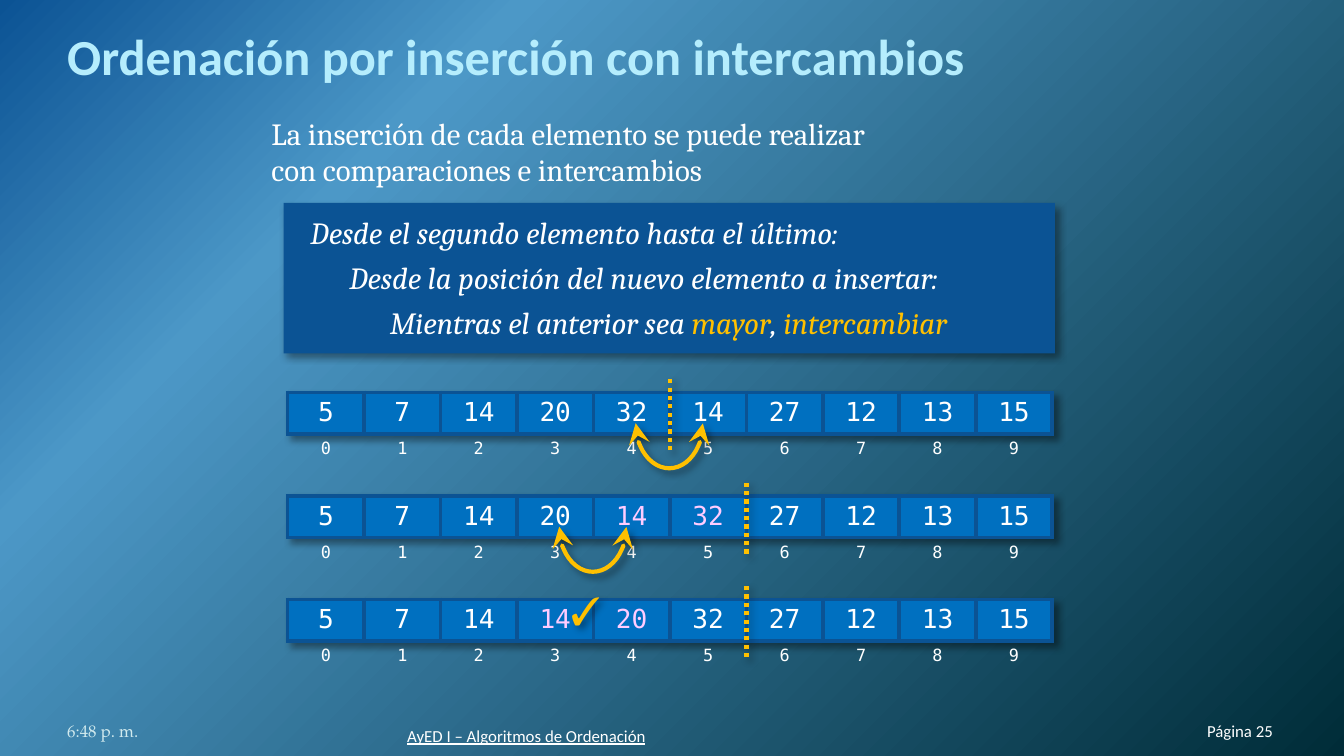
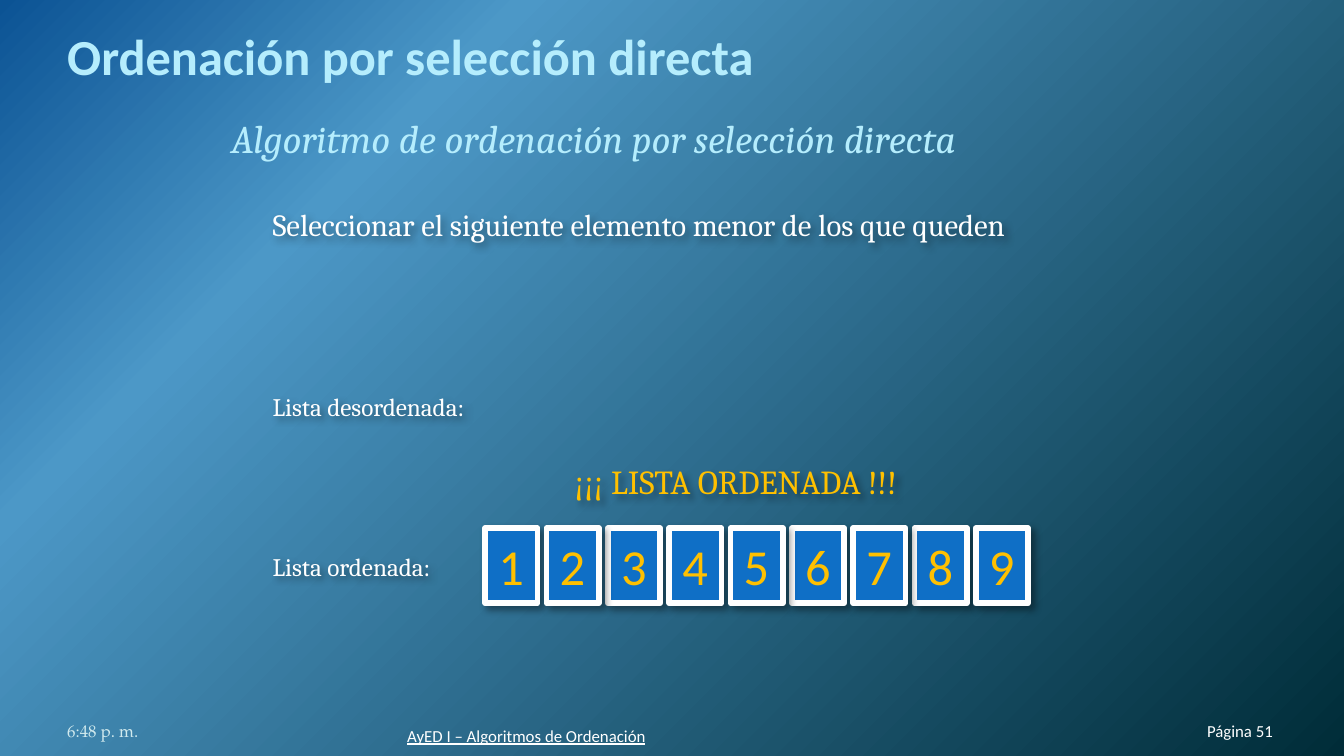
import lxml.etree
import pptx
import pptx.dml.color
import pptx.enum.dml
import pptx.enum.shapes
import pptx.enum.text
import pptx.oxml.ns
import pptx.util

Inches = pptx.util.Inches
Pt = pptx.util.Pt
RGBColor = pptx.dml.color.RGBColor
qn = pptx.oxml.ns.qn
Anchor = pptx.enum.text.MSO_ANCHOR
Align = pptx.enum.text.PP_ALIGN
AutoSize = pptx.enum.text.MSO_AUTO_SIZE
Shape = pptx.enum.shapes.MSO_SHAPE

NAVY = RGBColor(0x0B, 0x53, 0x94)
SKY = RGBColor(0x4C, 0x98, 0xC7)
DEEP = RGBColor(0x00, 0x2C, 0x38)
BLUE = RGBColor(0x00, 0x70, 0xC0)
CARD_BLUE = RGBColor(0x0F, 0x6F, 0xC6)
ICE = RGBColor(0xB5, 0xED, 0xFD)
MIST = RGBColor(0xD1, 0xEA, 0xEE)
PINK = RGBColor(0xFF, 0xCC, 0xFF)
GOLD = RGBColor(0xFF, 0xC0, 0x00)
WHITE = RGBColor(0xFF, 0xFF, 0xFF)
BLACK = RGBColor(0x00, 0x00, 0x00)

TITLE = {"name": "Calibri", "size": Pt(27), "bold": True}
BODY = {"name": "Cambria", "size": Pt(16.5)}
ITALIC = {**BODY, "italic": True}
SUBTITLE = {**ITALIC, "size": Pt(21)}
LABEL = {"name": "Cambria", "size": Pt(13.5)}
CHECK = {"name": "Cambria", "size": Pt(21), "bold": True}
CARD = {"name": "Calibri", "size": Pt(27)}
FOOTER = {"name": "Calibri", "size": Pt(9)}
VALUE = {"name": "DejaVu Sans Mono", "size": Pt(14)}
INDEX = {**VALUE, "size": Pt(9)}
NO_STYLE = "{2D5ABB26-0587-4C30-8999-92F81FD0307C}"


def write(paragraph, text, color, formats):
    run = paragraph.add_run()
    run.text = text
    run.font.color.rgb = color
    for name, value in formats.items():
        setattr(run.font, name, value)
    return run


def add_shadow(properties, position):
    effects = lxml.etree.Element(qn("a:effectLst"))
    shadow = lxml.etree.SubElement(effects, qn("a:outerShdw"), blurRad=str(Pt(4)), dist=str(Pt(3)),
                                   dir="2700000", algn="tl", rotWithShape="0")
    color = lxml.etree.SubElement(shadow, qn("a:srgbClr"), val=str(BLACK))
    lxml.etree.SubElement(color, qn("a:alpha"), val="40000")
    properties.insert(position, effects)


presentation = pptx.Presentation()
presentation.slide_width = Inches(10)
presentation.slide_height = Inches(10 * 9 / 16)

master = presentation.slide_master
master.background.fill.gradient()
gradient = master.element.find(".//" + qn("a:gradFill"))
for child in list(gradient):
    gradient.remove(child)
stops = lxml.etree.SubElement(gradient, qn("a:gsLst"))
for position, color in [(0, NAVY), (25, SKY), (100, DEEP)]:
    stop = lxml.etree.SubElement(stops, qn("a:gs"), pos=str(position * 1000))
    lxml.etree.SubElement(stop, qn("a:srgbClr"), val=str(color))
circle = lxml.etree.SubElement(gradient, qn("a:path"), path="circle")
lxml.etree.SubElement(circle, qn("a:fillToRect"), r="100000", b="100000")

pages = [
    ("Ordenación por inserción con intercambios", "Página 25", [
        (1, 0.3, 13.5, BODY, [("La inserción de cada elemento se puede realizar", WHITE), ("\n", WHITE),
                              ("con comparaciones e intercambios", WHITE)]),
        (1, 0.59, 4.5, ITALIC, [("Desde el segundo elemento hasta el último:", WHITE)]),
        (1, 0.88, 4.5, ITALIC, [("Desde la posición del nuevo elemento a insertar:", WHITE)]),
        (1, 1.18, 4.5, ITALIC, [("Mientras el anterior sea ", WHITE), ("mayor", GOLD), (", ", WHITE),
                                ("intercambiar", GOLD)]),
    ]),
    ("Ordenación por selección directa", "Página 51", [
        (0, 0, 9, SUBTITLE, [("Algoritmo de ordenación por selección directa", ICE)]),
    ]),
]
for title_text, page_text, lines in pages:
    slide = presentation.slides.add_slide(presentation.slide_layouts[1])
    title, body = slide.placeholders
    for placeholder, box in [(title, (0.5, 0.23, 9, 0.41)), (body, (1.62, 0.8, 6.86, 4.19))]:
        placeholder.left, placeholder.top, placeholder.width, placeholder.height = map(Inches, box)
        placeholder.text_frame.auto_size = AutoSize.NONE

    frame = title.text_frame
    frame.vertical_anchor = Anchor.BOTTOM
    frame.margin_left = frame.margin_right = frame.margin_bottom = 0
    frame.margin_top = Inches(0.05)
    frame.paragraphs[0].alignment = Align.LEFT
    run = write(frame.paragraphs[0], title_text, ICE, TITLE)
    outline = lxml.etree.Element(qn("a:ln"), w=str(Pt(0.75)))
    outline_fill = lxml.etree.SubElement(outline, qn("a:solidFill"))
    lxml.etree.SubElement(outline_fill, qn("a:srgbClr"), val=str(BLUE))
    run.font._element.insert(0, outline)

    for number, (level, indent, after, formats, parts) in enumerate(lines):
        frame = body.text_frame
        paragraph = frame.add_paragraph() if number else frame.paragraphs[0]
        properties = paragraph._p.get_or_add_pPr()
        properties.set("marL", str(Inches(indent)))
        properties.set("indent", "0")
        lxml.etree.SubElement(properties, qn("a:buNone"))
        paragraph.level = level
        paragraph.space_before = Pt(0)
        paragraph.space_after = Pt(after)
        for text, color in parts:
            if text == "\n":
                paragraph.add_line_break()
            else:
                write(paragraph, text, color, formats)

    for text, left, top, width, align, color, formats in [
        (page_text, 8.49, 5.21, 0.98, Align.RIGHT, WHITE, FOOTER),
        ("6:48 p. m.", 0.5, 5.21, 2.33, Align.LEFT, MIST, {**FOOTER, "name": "TeX Gyre Pagella"}),
        ("AyED I – Algoritmos de Ordenación", 3.03, 5.25, 3.78, Align.LEFT, WHITE,
         {**FOOTER, "underline": True}),
    ]:
        footer = slide.shapes.add_textbox(Inches(left), Inches(top), Inches(width), Inches(0.3))
        frame = footer.text_frame
        frame.word_wrap = True
        frame.vertical_anchor = Anchor.BOTTOM
        frame.margin_left = frame.margin_top = frame.margin_right = frame.margin_bottom = 0
        frame.paragraphs[0].alignment = align
        write(frame.paragraphs[0], text, color, formats)

insertion, selection = presentation.slides

panel = insertion.shapes.add_shape(Shape.RECTANGLE, Inches(2.11), Inches(1.51), Inches(5.74), Inches(1.12))
panel.fill.solid()
panel.fill.fore_color.rgb = NAVY
panel.line.fill.background()
add_shadow(panel.element.spPr, len(panel.element.spPr))
panel.element.getparent().insert(2, panel.element)

table_left = 2.14
cell_width = 5.69 / 10
steps = [
    ([5, 7, 14, 20, 32, 14, 27, 12, 13, 15], [], 5, 5),
    ([5, 7, 14, 20, 14, 32, 27, 12, 13, 15], [4, 5], 6, 4),
    ([5, 7, 14, 14, 20, 32, 27, 12, 13, 15], [3, 4], 6, None),
]
for number, (values, moved, sorted_count, swap) in enumerate(steps):
    top = 2.92 + 0.77 * number
    frame = insertion.shapes.add_table(2, len(values), Inches(table_left), Inches(top),
                                       Inches(cell_width * len(values)), Inches(0.54))
    table = frame.table
    table.first_row = table.horz_banding = False
    table_properties = table._tbl.tblPr
    table_properties.find(qn("a:tableStyleId")).text = NO_STYLE
    add_shadow(table_properties, 0)
    table.rows[0].height = Inches(0.3)
    table.rows[1].height = Inches(0.24)
    for column, value in enumerate(values):
        table.columns[column].width = Inches(cell_width)
        color = PINK if column in moved else WHITE
        for row, (text, text_color, formats, sides) in enumerate([
            (value, color, VALUE, "LRTB"),
            (column, WHITE, INDEX, "T"),
        ]):
            cell = table.cell(row, column)
            cell.margin_left = cell.margin_right = Inches(0.07)
            cell.margin_top = cell.margin_bottom = Inches(0.05 * 0.75)
            cell_properties = cell._tc.get_or_add_tcPr()
            for side in sides:
                border = lxml.etree.SubElement(cell_properties, qn("a:ln" + side), w=str(Pt(2.25)))
                border_fill = lxml.etree.SubElement(border, qn("a:solidFill"))
                lxml.etree.SubElement(border_fill, qn("a:srgbClr"), val=str(NAVY))
            if row == 0:
                cell.fill.solid()
                cell.fill.fore_color.rgb = BLUE
            else:
                cell.fill.background()
            paragraph = cell.text_frame.paragraphs[0]
            paragraph.alignment = Align.CENTER
            write(paragraph, str(text), text_color, formats)

    edge = Inches(table_left + cell_width * sorted_count)
    divider = insertion.shapes.add_connector(pptx.enum.shapes.MSO_CONNECTOR.STRAIGHT,
                                             edge, Inches(top + 0.43), edge, Inches(top - 0.11))
    marks = [divider]
    divider.line.dash_style = pptx.enum.dml.MSO_LINE.ROUND_DOT
    if swap:
        arc = insertion.shapes.add_shape(Shape.ARC, Inches(table_left + cell_width * swap - 0.34),
                                         Inches(top - 0.02), Inches(0.67), Inches(0.5))
        arc.adjustments[0] = 162
        arc.adjustments[1] = 53.78
        arc.rotation = 270
        arc.element.spPr.find(qn("a:xfrm")).set("flipH", "1")
        arc.fill.background()
        marks.append(arc)
    for mark in marks:
        mark.line.color.rgb = GOLD
        mark.line.width = Pt(2.25)
        add_shadow(mark.element.spPr, len(mark.element.spPr))
    if swap:
        for end in ["a:headEnd", "a:tailEnd"]:
            lxml.etree.SubElement(arc.element.spPr.find(qn("a:ln")), qn(end),
                                  type="stealth", w="lg", len="lg")

for position in "613829475":
    left = 3.61 + (7.26 - 3.61) / 8 * (int(position) - 1)
    card = selection.shapes.add_shape(Shape.RECTANGLE, Inches(left), Inches(3.93), Inches(0.39), Inches(0.56))
    card.fill.solid()
    card.fill.fore_color.rgb = CARD_BLUE
    card.line.color.rgb = WHITE
    card.line.width = Pt(3)
    add_shadow(card.element.spPr, len(card.element.spPr))
    frame = card.text_frame
    frame.word_wrap = False
    frame.auto_size = AutoSize.SHAPE_TO_FIT_TEXT
    frame.paragraphs[0].alignment = Align.LEFT
    frame.paragraphs[0].space_after = Pt(4.5)
    write(frame.paragraphs[0], position, GOLD, CARD)

for slide, text, box, color, formats in [
    (insertion, "✓", (4.15, 4.31, 0.43, 0.45), GOLD, CHECK),
    (selection, "Lista ordenada:", (1.93, 4.05, 1.46, 0.33), WHITE, LABEL),
    (selection, "Lista desordenada:", (1.93, 2.86, 1.73, 0.33), WHITE, LABEL),
    (selection, "¡¡¡ LISTA ORDENADA !!!", (4.18, 3.38, 2.7, 0.4), GOLD, {**BODY, "size": Pt(18)}),
    (selection, "Seleccionar el siguiente elemento menor de los que queden", (1.93, 1.48, 6.02, 0.38),
     WHITE, BODY),
]:
    label = slide.shapes.add_textbox(*map(Inches, box))
    add_shadow(label.element.spPr, len(label.element.spPr))
    frame = label.text_frame
    frame.word_wrap = False
    frame.auto_size = AutoSize.SHAPE_TO_FIT_TEXT
    frame.paragraphs[0].space_after = Pt(4.5)
    write(frame.paragraphs[0], text, color, formats)

presentation.save("out.pptx")
